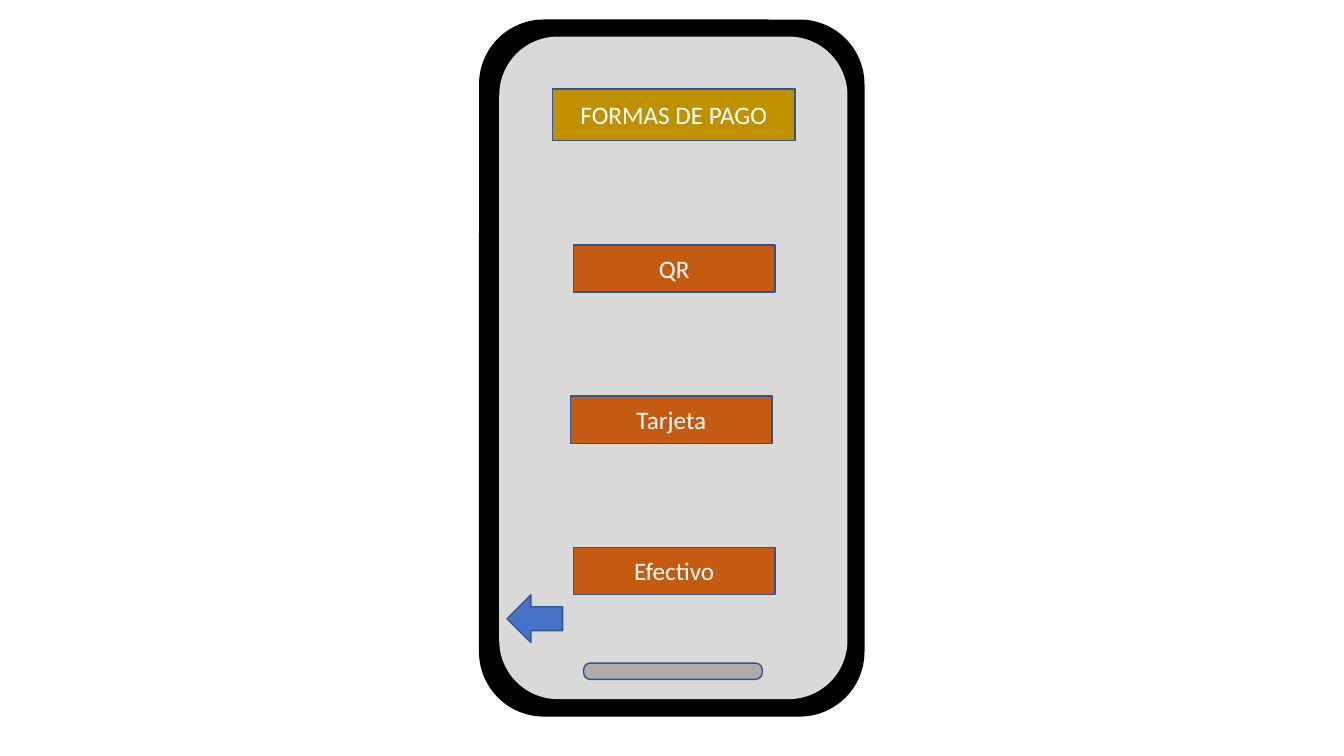
from dataclasses import dataclass

from pptx import Presentation
from pptx.dml.color import RGBColor
from pptx.enum import shapes, text
from pptx.util import Cm, Pt

BLACK = RGBColor(0x00, 0x00, 0x00)
WHITE = RGBColor(0xFF, 0xFF, 0xFF)
SCREEN_GREY = RGBColor(0xD9, 0xD9, 0xD9)
BAR_GREY = RGBColor(0xAF, 0xAB, 0xAB)
GOLD = RGBColor(0xBF, 0x90, 0x00)
ORANGE = RGBColor(0xC5, 0x5A, 0x11)
BLUE = RGBColor(0x44, 0x72, 0xC4)
OUTLINE_BLUE = RGBColor(0x32, 0x53, 0x8F)

BUTTON_TOP, BUTTON_PITCH = 6.17, 3.81
BUTTON_WIDTH, BUTTON_HEIGHT = 5.08, 1.19


@dataclass
class Part:
    """A filled shape of the phone, with lengths in centimetres."""
    kind: shapes.MSO_SHAPE
    left: float
    top: float
    width: float
    height: float
    fill: RGBColor
    line: RGBColor = OUTLINE_BLUE
    corner: float | None = None
    label: str = ""


def paint(shape, fill: RGBColor, line: RGBColor) -> None:
    shape.fill.solid()
    shape.fill.fore_color.rgb = fill
    shape.line.color.rgb = line
    shape.line.width = Pt(1)


def write_label(shape, label: str) -> None:
    frame = shape.text_frame
    frame.text = label
    frame.word_wrap = True
    frame.auto_size = text.MSO_AUTO_SIZE.NONE
    frame.vertical_anchor = text.MSO_ANCHOR.MIDDLE
    frame.margin_left = frame.margin_right = Cm(0.13)
    frame.margin_top = frame.margin_bottom = Cm(0.13)
    paragraph = frame.paragraphs[0]
    paragraph.alignment = text.PP_ALIGN.CENTER
    paragraph.font.name = "Calibri"
    paragraph.font.size = Pt(18)
    paragraph.font.color.rgb = WHITE


def draw_part(slide, part: Part) -> None:
    shape = slide.shapes.add_shape(
        part.kind, Cm(part.left), Cm(part.top), Cm(part.width), Cm(part.height))
    shape.shadow.inherit = False
    paint(shape, part.fill, part.line)
    if part.corner is not None:
        shape.adjustments[0] = part.corner
    if part.label:
        write_label(shape, part.label)


def place_title(slide, label: str) -> None:
    """Format the title placeholder as a banner in front of the screen."""
    title = slide.shapes.title
    title.left, title.top = Cm(13.92), Cm(2.24)
    title.width, title.height = Cm(6.12), Cm(1.3)
    paint(title, GOLD, OUTLINE_BLUE)
    write_label(title, label)
    slide.shapes.element.append(title.element)


def main() -> None:
    presentation = Presentation()
    presentation.slide_width, presentation.slide_height = Cm(33.87), Cm(19.05)
    slide = presentation.slides.add_slide(presentation.slide_layouts[5])

    rounded = shapes.MSO_SHAPE.ROUNDED_RECTANGLE
    phone = [
        Part(rounded, 12.09, 0.51, 9.68, 17.53, BLACK, BLACK, corner=0.167),
        Part(rounded, 12.6, 0.94, 8.74, 16.66, SCREEN_GREY, SCREEN_GREY, corner=0.167),
        Part(rounded, 14.71, 16.71, 4.5, 0.41, BAR_GREY, corner=0.4),
    ]
    payment_options = [("QR", 14.45), ("Tarjeta", 14.38), ("Efectivo", 14.45)]
    buttons = [
        Part(shapes.MSO_SHAPE.RECTANGLE, left, BUTTON_TOP + row * BUTTON_PITCH,
             BUTTON_WIDTH, BUTTON_HEIGHT, ORANGE, label=label)
        for row, (label, left) in enumerate(payment_options)
    ]
    back_arrow = Part(shapes.MSO_SHAPE.LEFT_ARROW, 12.78, 14.99, 1.4, 1.2, BLUE)

    for part in phone:
        draw_part(slide, part)
    place_title(slide, "FORMAS DE PAGO")
    for part in [*buttons, back_arrow]:
        draw_part(slide, part)

    presentation.save("out.pptx")


if __name__ == "__main__":
    main()
